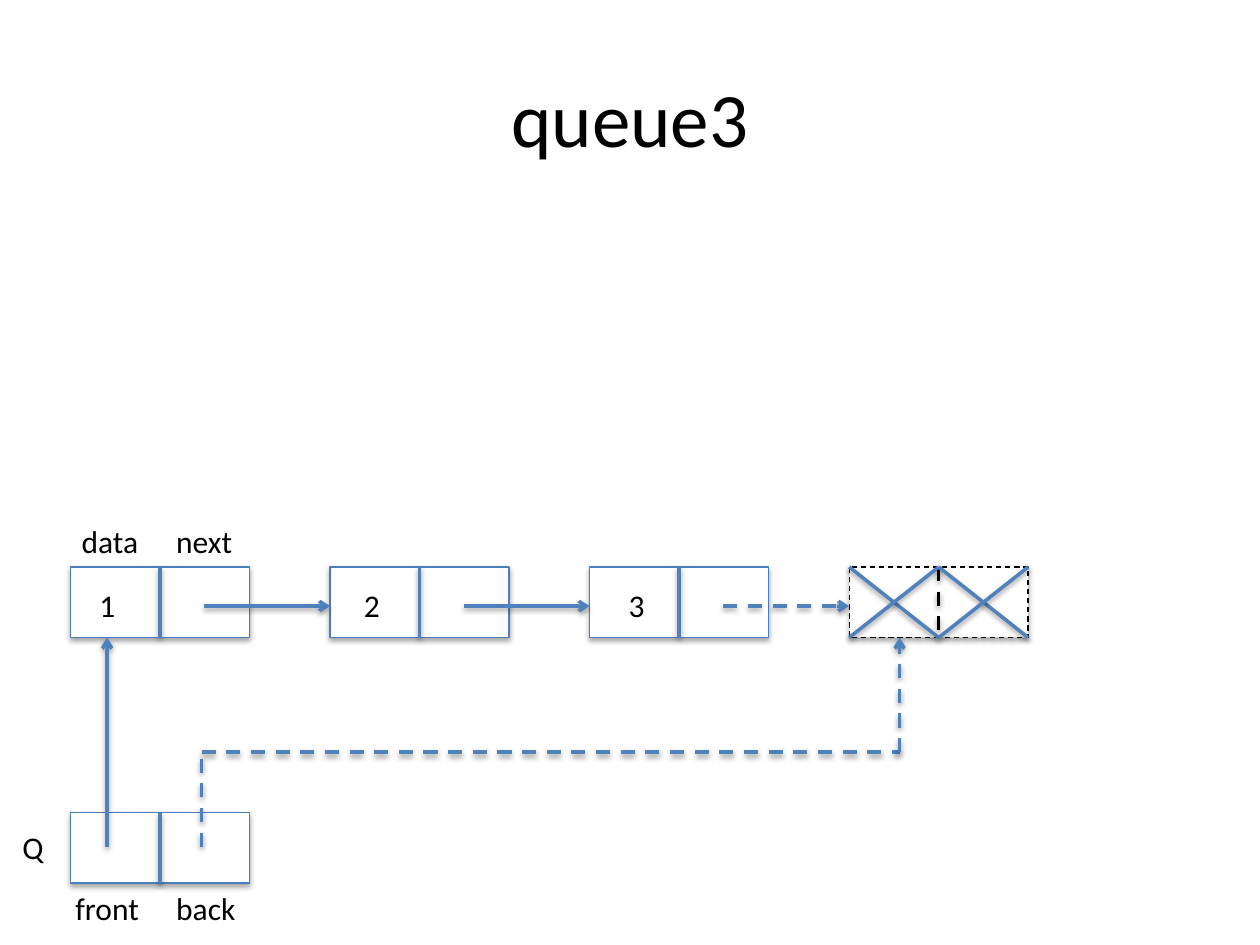
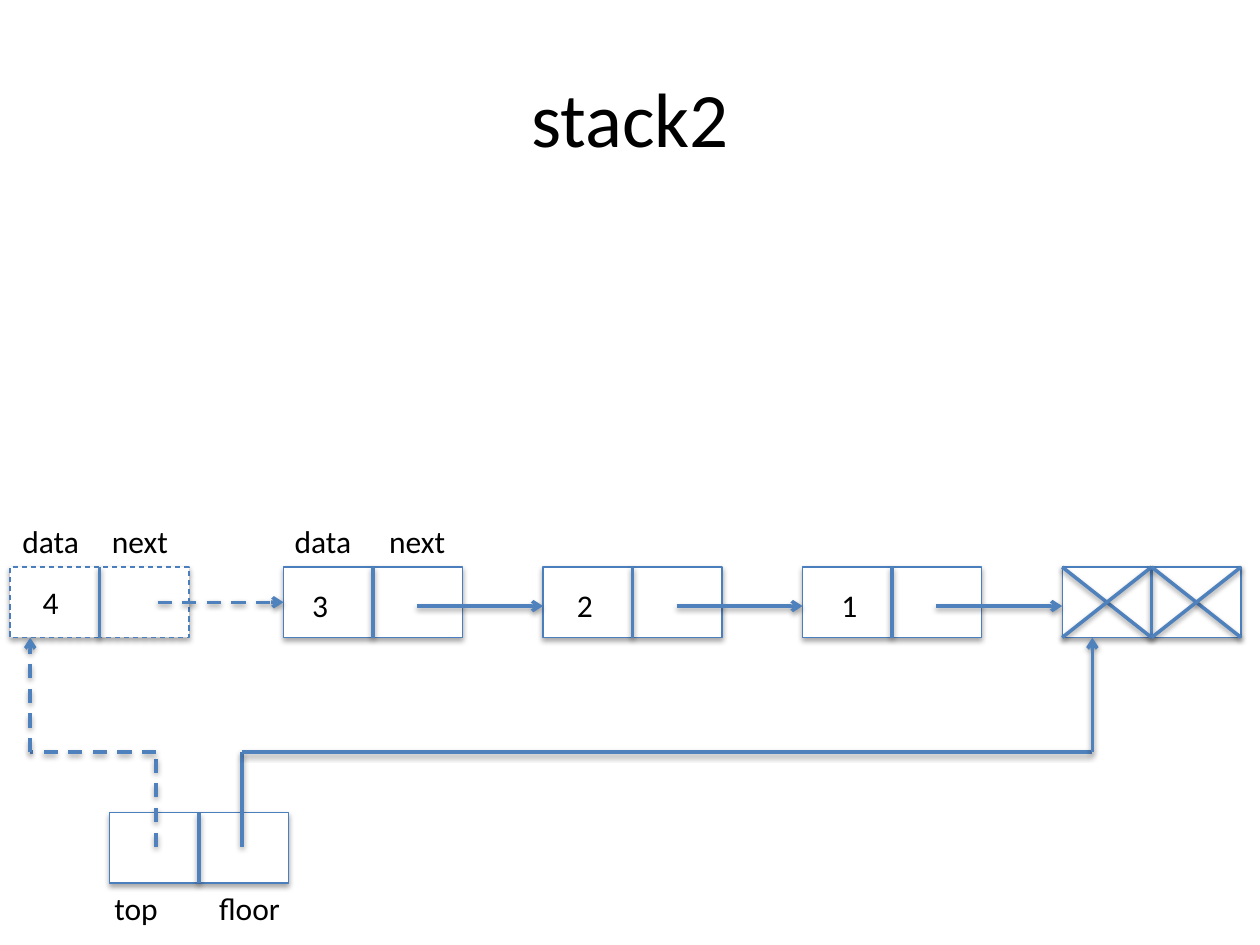
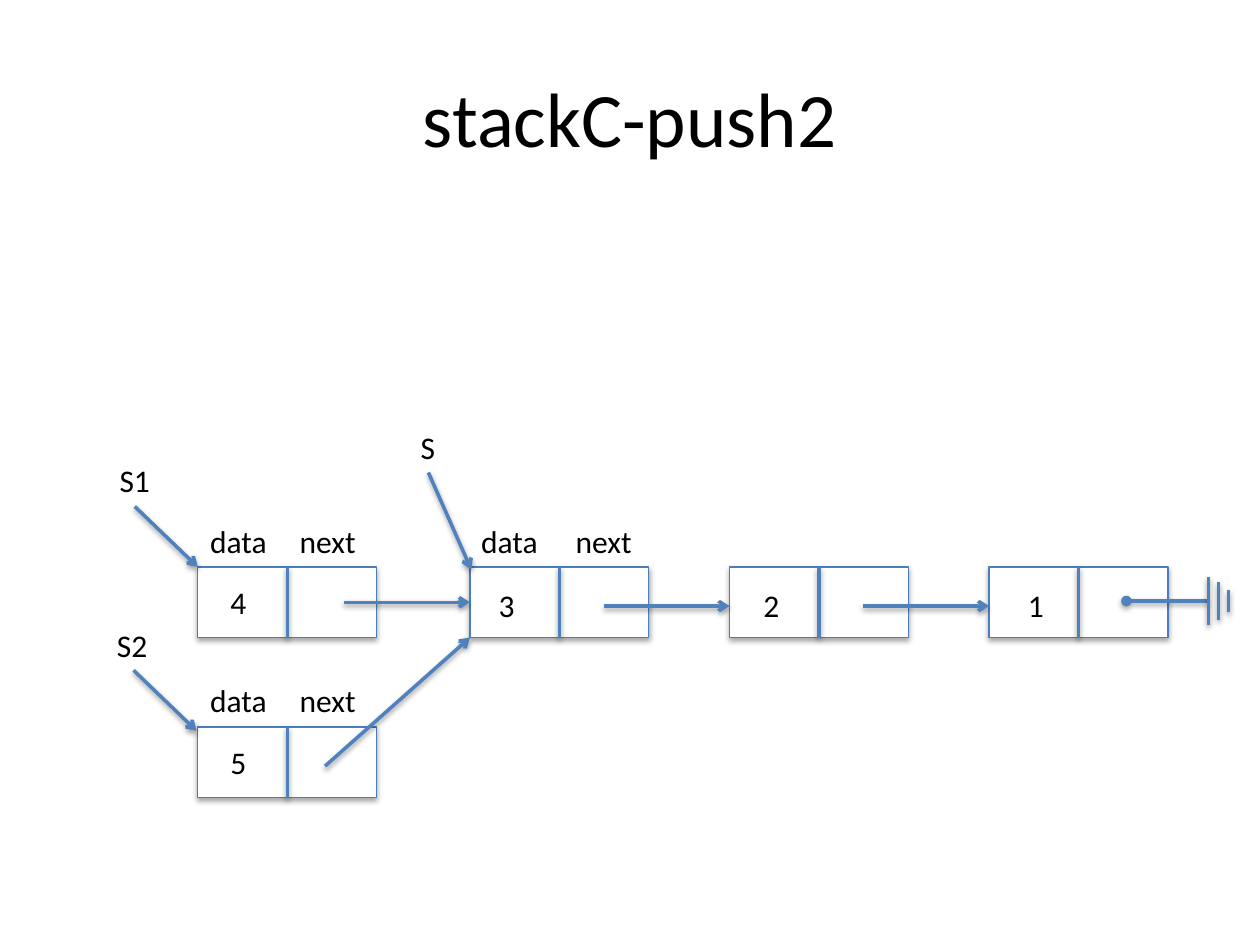
from dataclasses import dataclass
from itertools import pairwise

from lxml import etree
from pptx import Presentation
from pptx.dml.color import RGBColor
from pptx.enum.dml import MSO_LINE
from pptx.enum.shapes import MSO_CONNECTOR, MSO_SHAPE
from pptx.enum.text import MSO_ANCHOR, MSO_AUTO_SIZE, PP_ALIGN
from pptx.oxml.ns import qn
from pptx.util import Inches, Pt

DASH = MSO_LINE.DASH
STRAIGHT = MSO_CONNECTOR.STRAIGHT
RECTANGLE = MSO_SHAPE.RECTANGLE
MIDDLE, TOP = MSO_ANCHOR.MIDDLE, MSO_ANCHOR.TOP
CENTER, LEFT = PP_ALIGN.CENTER, PP_ALIGN.LEFT
GROW, FIXED = MSO_AUTO_SIZE.SHAPE_TO_FIT_TEXT, MSO_AUTO_SIZE.NONE


@dataclass(frozen=True)
class Theme:
    font: str = "Calibri"
    title_size: int = 44
    label_size: int = 18
    ink: str = "000000"
    paper: str = "FFFFFF"
    outline: str = "4B7EBC"
    pointer: str = "4F81BD"
    outline_width: float = 0.75
    pointer_width: float = 2
    shadow_blur: int = 40000
    box_shadow: tuple = (23000, 35000)
    line_shadow: tuple = (20000, 38000)


THEME = Theme()
COLUMNS, ROWS = 10, 7.5
WIDTH, HEIGHT = Inches(10), Inches(7.5)

NODE_W, NODE_H = 1.42, 0.56
HALF = NODE_W / 2
PITCH = 2.06
CHAIN_Y, RECORD_Y, BEND_Y = 4.5, 6.45, 5.97
LINK_Y = CHAIN_Y + 0.31
CHAIN_BOTTOM = CHAIN_Y + NODE_H
RECORD_BOTTOM = RECORD_Y + NODE_H
POINTER_Y = RECORD_Y + 0.27
LABEL_H = 0.4
LABEL_W = {"front": 0.71, "back": 0.68, "data": 0.66, "next": 0.65, "Q": 0.37,
           "top": 0.55, "floor": 0.69, "S": 0.32, "S1": 0.45, "S2": 0.45}
DIGIT_W = 0.33


def across(columns):
    return round(WIDTH * columns / COLUMNS)


def down(rows):
    return round(HEIGHT * rows / ROWS)


def apply(target, formats):
    for attribute, value in formats.items():
        setattr(target, attribute, value)


def draw_line(line, colour, width, dashed):
    line.color.rgb = RGBColor.from_string(colour)
    apply(line, {"width": Pt(width), "dash_style": DASH if dashed else None})


def cast_shadow(element, shadow):
    distance, alpha = shadow
    effects = etree.SubElement(element.spPr, qn("a:effectLst"))
    outer = etree.SubElement(effects, qn("a:outerShdw"), blurRad=str(THEME.shadow_blur),
                             dist=str(distance), dir="5400000", rotWithShape="0")
    black = etree.SubElement(outer, qn("a:srgbClr"), val=THEME.ink)
    etree.SubElement(black, qn("a:alpha"), val=str(alpha))


def add_text(slide, text, x, y, w, h, size, frame_formats, align=LEFT):
    frame = slide.shapes.add_textbox(across(x), down(y), across(w), down(h)).text_frame
    apply(frame, frame_formats)
    paragraph = frame.paragraphs[0]
    paragraph.alignment = align
    run = paragraph.add_run()
    run.text = text
    apply(run.font, {"name": THEME.font, "size": Pt(size)})
    run.font.color.rgb = RGBColor.from_string(THEME.ink)


def add_title(slide, text):
    formats = {"word_wrap": True, "auto_size": FIXED, "vertical_anchor": MIDDLE}
    add_text(slide, text, 0.5, 0.3, 9, 1.25, THEME.title_size, formats, CENTER)


def add_label(slide, text, x, y):
    formats = {"word_wrap": False, "auto_size": GROW, "vertical_anchor": TOP}
    add_text(slide, text, x, y, LABEL_W.get(text, DIGIT_W), LABEL_H,
             THEME.label_size, formats)


def add_segment(slide, start, end, dashed=False, head=None, tail=None, colour=THEME.pointer):
    segment = slide.shapes.add_connector(STRAIGHT, across(start[0]), down(start[1]),
                                         across(end[0]), down(end[1]))
    draw_line(segment.line, colour, THEME.pointer_width, dashed)
    stroke = segment._element.spPr.find(qn("a:ln"))
    for tag, kind in (("a:headEnd", head), ("a:tailEnd", tail)):
        if kind:
            etree.SubElement(stroke, qn(tag), type=kind)
    cast_shadow(segment._element, THEME.line_shadow)


def add_arrow(slide, *points, dashed=False):
    legs = list(pairwise(points))
    for number, (start, end) in enumerate(legs, 1):
        add_segment(slide, start, end, dashed, tail="arrow" if number == len(legs) else None)


def add_node(slide, x, y, outline=THEME.outline, divider=THEME.pointer,
             dashed=False, dashed_divider=False):
    cell = slide.shapes.add_shape(RECTANGLE, across(x), down(y), across(NODE_W), down(NODE_H))
    cell.fill.solid()
    cell.fill.fore_color.rgb = RGBColor.from_string(THEME.paper)
    draw_line(cell.line, outline, THEME.outline_width, dashed)
    cast_shadow(cell._element, THEME.box_shadow)
    add_segment(slide, (x + HALF, y), (x + HALF, y + NODE_H), dashed_divider, colour=divider)


def add_chain(slide, x, values):
    lefts = [x + PITCH * place for place in range(len(values))]
    for left in lefts:
        add_node(slide, left, CHAIN_Y)
    for left in lefts[1:]:
        add_arrow(slide, (left - 1, LINK_Y), (left, LINK_Y))
    for place, (left, value) in enumerate(zip(lefts, values)):
        add_label(slide, value, left + 0.13 + 0.04 * place, CHAIN_Y + 0.1)
    add_field_names(slide, x - 0.01, CHAIN_Y, 0.75)
    return x + PITCH * len(values)


def add_field_names(slide, x, y, gap):
    for place, field in enumerate(("data", "next")):
        add_label(slide, field, x + gap * place, y - 0.41)


def add_pushed_node(slide, x, y, value, dashed=False):
    add_node(slide, x, y, dashed=dashed)
    add_label(slide, value, x + 0.16, y + 0.08)
    add_field_names(slide, x, y, HALF)


def add_sentinel(slide, x, **look):
    add_node(slide, x, CHAIN_Y, **look)
    for left in (x, x + HALF):
        for start_y, end_y in ((CHAIN_Y, CHAIN_BOTTOM), (CHAIN_BOTTOM, CHAIN_Y)):
            add_segment(slide, (left, start_y), (left + HALF, end_y))


def add_bent_pointer(slide, start_x, end_x, dashed=False):
    add_arrow(slide, (start_x, POINTER_Y), (start_x, BEND_Y), (end_x, BEND_Y),
              (end_x, CHAIN_BOTTOM), dashed=dashed)


def add_ground(slide, start_x, x, y):
    add_segment(slide, (start_x, y), (x, y), head="oval")
    for place, reach in enumerate((0.19, 0.15, 0.09)):
        bar_x = x + 0.08 * place
        add_segment(slide, (bar_x, y - reach), (bar_x, y + reach))


def add_named_pointer(slide, name, label_at, start, end):
    add_label(slide, name, *label_at)
    add_arrow(slide, start, end)


def build_queue(slide):
    add_title(slide, "queue3")
    x = 0.56
    sentinel_x = add_chain(slide, x, "123")
    add_sentinel(slide, sentinel_x, outline=THEME.ink, divider=THEME.ink,
                 dashed=True, dashed_divider=True)
    add_arrow(slide, (sentinel_x - 1, LINK_Y), (sentinel_x, LINK_Y), dashed=True)
    add_node(slide, x, RECORD_Y)
    add_arrow(slide, (0.85, POINTER_Y), (0.85, CHAIN_BOTTOM))
    add_bent_pointer(slide, 1.6, 7.14, dashed=True)
    add_label(slide, "front", 0.5, RECORD_BOTTOM)
    add_label(slide, "back", 1.3, RECORD_BOTTOM)
    add_label(slide, "Q", 0.08, RECORD_Y + 0.07)


def build_stack(slide):
    add_title(slide, "stack2")
    x, pushed_x, record_x = 2.25, 0.08, 0.87
    sentinel_x = add_chain(slide, x, "321")
    add_pushed_node(slide, pushed_x, CHAIN_Y, "4", dashed=True)
    add_arrow(slide, (x - 1, 4.78), (x, 4.78), dashed=True)
    add_sentinel(slide, sentinel_x)
    add_arrow(slide, (sentinel_x - 1, LINK_Y), (sentinel_x, LINK_Y))
    add_node(slide, record_x, RECORD_Y)
    add_bent_pointer(slide, 1.24, 0.24, dashed=True)
    add_bent_pointer(slide, 1.92, 8.67)
    add_label(slide, "top", 0.81, RECORD_BOTTOM)
    add_label(slide, "floor", 1.64, RECORD_BOTTOM)


def build_push(slide):
    add_title(slide, "stackC-push2")
    x, pushed_x, second_y = 3.73, 1.57, 5.77
    add_chain(slide, x, "321")
    add_pushed_node(slide, pushed_x, CHAIN_Y, "4")
    add_pushed_node(slide, pushed_x, second_y, "5")
    add_arrow(slide, (x - 1, 4.78), (x, 4.78))
    add_arrow(slide, (2.58, 6.08), (x, CHAIN_BOTTOM))
    add_ground(slide, 8.94, 9.59, 4.77)
    add_named_pointer(slide, "S", (3.24, 3.35), (3.4, 3.75), (3.74, 4.52))
    add_named_pointer(slide, "S1", (0.85, 3.61), (1.07, 4.02), (pushed_x, CHAIN_Y))
    add_named_pointer(slide, "S2", (0.83, 4.92), (1.06, 5.32), (1.56, 5.8))


def main():
    deck = Presentation()
    apply(deck, {"slide_width": WIDTH, "slide_height": HEIGHT})
    for build in (build_queue, build_stack, build_push):
        build(deck.slides.add_slide(deck.slide_layouts[6]))
    deck.save("out.pptx")


main()
